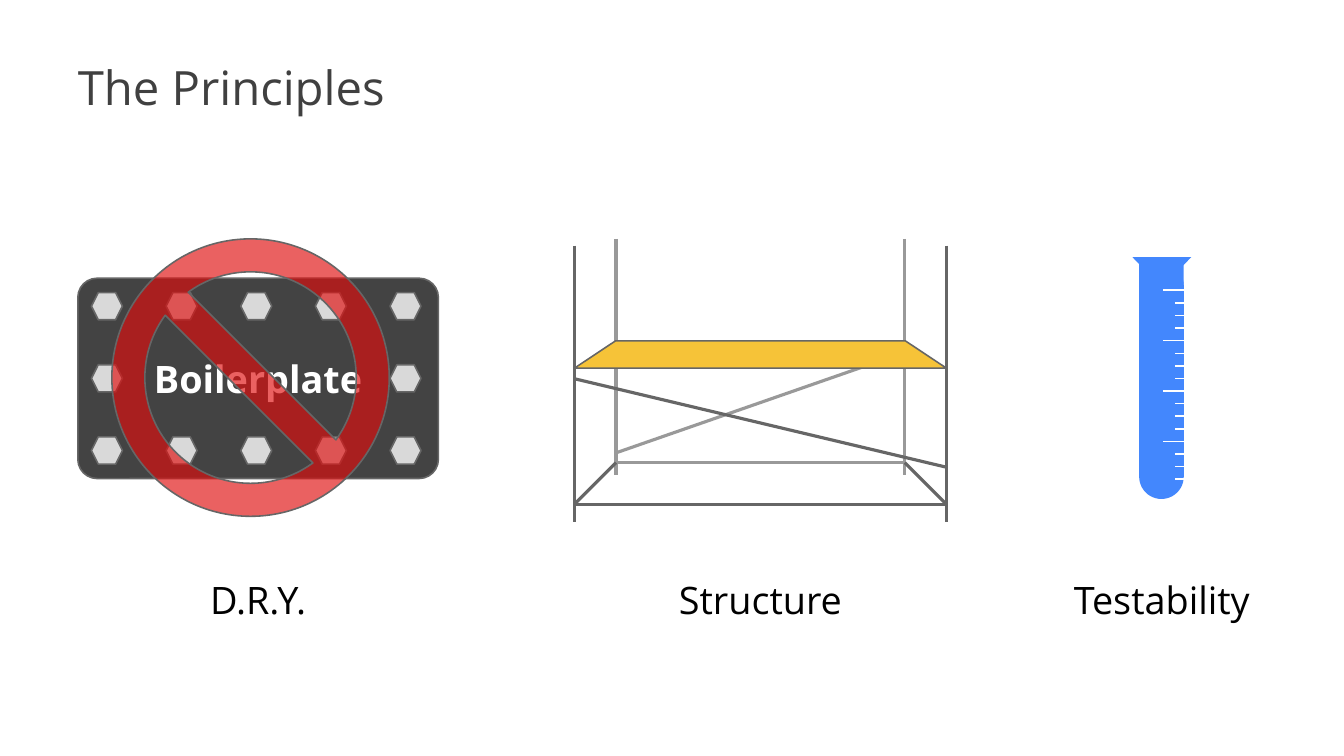
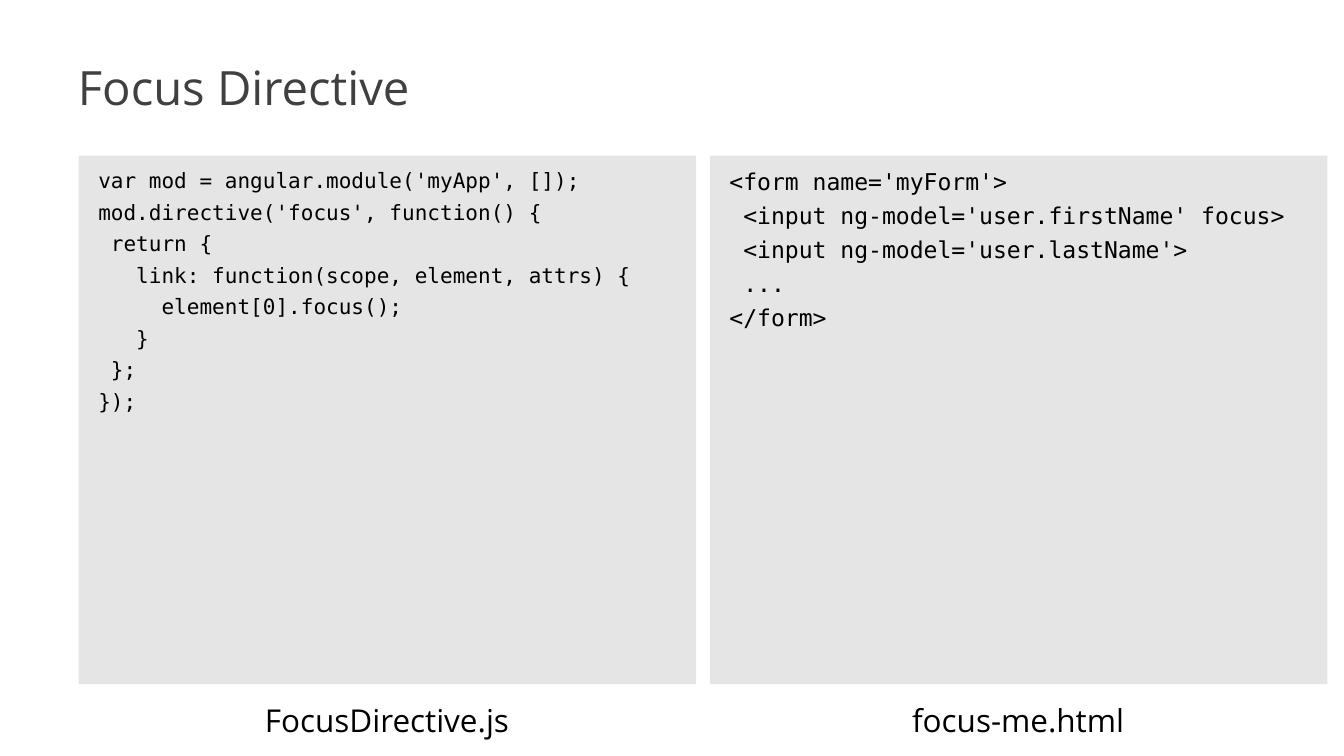
from lxml.etree import SubElement
from pptx import Presentation
from pptx.dml.color import RGBColor
from pptx.enum.shapes import MSO_CONNECTOR, MSO_SHAPE as SHAPE
from pptx.enum.text import MSO_ANCHOR as ANCHOR, MSO_AUTO_SIZE, PP_ALIGN as ALIGN
from pptx.oxml.ns import qn
from pptx.util import Inches, Pt

# Content
PRINCIPLES_TITLE = "The Principles"
PLATE_TEXT = "Boilerplate"
PRINCIPLES = [  # label, left, width
    ("D.R.Y.", 1.03, 4.77),
    ("Structure", 7.6, 4.92),
    ("Testability", 13.94, 2.86),
]
DIRECTIVE_TITLE = "Focus Directive"
LISTINGS = [  # file name, code size, code lines
    ("FocusDirective.js", 20, [
        "var mod = angular.module('myApp', []);",
        "mod.directive('focus', function() {",
        " return {",
        "   link: function(scope, element, attrs) {",
        "     element[0].focus();",
        "   }",
        " };",
        "});",
    ]),
    ("focus-me.html", 22, [
        "<form name='myForm'>",
        " <input ng-model='user.firstName' focus>",
        " <input ng-model='user.lastName'>",
        " ...",
        "</form>",
    ]),
]

# Shared style
COLORS = {
    "title": "404040", "text": "000000", "white": "FFFFFF",
    "plate": "434343", "bolt": "D9D9D9", "ban": "E00D0D",
    "front": "666666", "back": "999999", "deck": "F6C338",
    "tube": "4387FD", "panel": "000000",
}
SANS, MONO = "Open Sans", "DejaVu Sans Mono"
TITLE_ONLY, TWO_CONTENT = 5, 3


def color(name):
    return RGBColor.from_string(COLORS[name])


def place(shape, left, top, width, height):
    shape.left, shape.top = Inches(left), Inches(top)
    shape.width, shape.height = Inches(width), Inches(height)


def write(shape, text, size=36, font=SANS, ink="text", bold=False,
          align=ALIGN.CENTER, anchor=ANCHOR.MIDDLE, inset=0.1,
          spacing=None, before=0, hanging=None):
    """Fill a shape with one paragraph for each line of text."""
    frame = shape.text_frame
    frame.word_wrap = True
    frame.auto_size = MSO_AUTO_SIZE.NONE
    frame.vertical_anchor = anchor
    frame.margin_left = frame.margin_right = Inches(inset)
    frame.margin_top = frame.margin_bottom = Inches(inset)
    for number, line in enumerate(text.split("\n")):
        para = frame.add_paragraph() if number else frame.paragraphs[0]
        para.alignment = align
        para.space_before = Pt(before)
        if spacing:
            para.line_spacing = spacing
        if hanging:
            props = para._p.get_or_add_pPr()
            margin, indent = hanging
            props.set("marL", str(Inches(margin)))
            props.set("indent", str(Inches(indent)))
            SubElement(props, qn("a:buNone"))
        span = para.add_run()
        span.text = line
        span.font.name, span.font.size = font, Pt(size)
        span.font.bold = bold
        span.font.color.rgb = color(ink)


def paint(shape, fill, alpha=None):
    shape.fill.solid()
    shape.fill.fore_color.rgb = color(fill)
    if alpha is not None:
        tint = shape._element.spPr.find(qn("a:solidFill"))[0]
        SubElement(tint, qn("a:alpha")).set("val", str(alpha * 1000))


def add_figure(shapes, kind, box, fill, adjust=None, outline=True, alpha=None):
    left, top, width, height = map(Inches, box)
    shape = shapes.add_shape(kind, left, top, width, height)
    shape.shadow.inherit = False
    paint(shape, fill, alpha)
    if outline:
        shape.line.color.rgb = color("front")
        shape.line.width = Pt(1.5)
    else:
        shape.line.fill.background()
    if adjust is not None:
        shape.adjustments[0] = adjust
    return shape


def add_line(shapes, start, end, stroke, width=3):
    line = shapes.add_connector(MSO_CONNECTOR.STRAIGHT,
                                *map(Inches, (*start, *end)))
    line.line.color.rgb = color(stroke)
    line.line.width = Pt(width)
    SubElement(line._element.spPr, qn("a:effectLst"))


def add_label(shapes, text, box, size=36):
    write(shapes.add_textbox(*map(Inches, box)), text, size=size)


def add_page(deck, layout, title):
    page = deck.slides.add_slide(deck.slide_layouts[layout])
    place(page.shapes.title, 1.03, 0.18, 15.69, 1.35)
    write(page.shapes.title, title, size=45, ink="title", align=ALIGN.LEFT,
          anchor=ANCHOR.BOTTOM, inset=0, spacing=0.9)
    return page


def draw_plate(shapes):
    plate = add_figure(shapes, SHAPE.ROUNDED_RECTANGLE,
                       (1.03, 3.68, 4.77, 2.65), "plate", 0.096)
    write(plate, PLATE_TEXT, ink="white", bold=True)
    # Bolts run around the edge of a 5 by 3 grid
    for row in range(3):
        for column in range(5):
            if row != 1 or column in (0, 4):
                box = (1.21 + column * 0.9875, 3.87 + row * 0.955, 0.41, 0.36)
                add_figure(shapes, SHAPE.HEXAGON, box, "bolt", 0.25)


def draw_scaffold(shapes):
    left, right, back_left, back_right = 7.6, 12.52, 8.15, 11.97
    floor, back_floor = 6.67, 6.12
    # Back brace and posts, behind the platform
    add_line(shapes, (back_right, 4.66), (back_left, 5.99), "back")
    for x in (back_left, back_right):
        add_line(shapes, (x, 3.16), (x, 6.28), "back")
    add_figure(shapes, SHAPE.TRAPEZOID, (left, 4.51, right - left, 0.36),
               "deck", 1.506)
    # Front posts, floor frame and front brace
    for x in (left, right):
        add_line(shapes, (x, 3.25), (x, 6.9), "front")
    add_line(shapes, (right, floor), (left, floor), "front")
    add_line(shapes, (back_right, back_floor), (back_left, back_floor), "back")
    for x, back_x in ((right, back_right), (left, back_left)):
        add_line(shapes, (x, floor), (back_x, back_floor), "front")
    add_line(shapes, (right, 6.18), (left, 5.01), "front")


def draw_test_tube(shapes):
    left, width = 15.07, 0.59
    right = left + width
    add_figure(shapes, SHAPE.ROUNDED_RECTANGLE, (left, 3.48, width, 3.12),
               "tube", 0.5, outline=False)
    rim = add_figure(shapes, SHAPE.TRAPEZOID, (14.98, 3.4, 0.78, 0.14),
                     "tube", 0.957, outline=False)
    rim.rotation = 180
    add_figure(shapes, SHAPE.RECTANGLE, (left, 3.45, width, 0.35),
               "tube", outline=False)
    # Every fourth tick is long
    for tick in range(16):
        y = 3.84 + tick / 6
        length = 0.12 if tick % 4 else 0.28
        add_line(shapes, (right, y), (right - length, y), "white", 1.5)


def build_principles(deck):
    shapes = add_page(deck, TITLE_ONLY, PRINCIPLES_TITLE).shapes
    draw_plate(shapes)
    draw_scaffold(shapes)
    draw_test_tube(shapes.add_group_shape().shapes)
    for text, left, width in PRINCIPLES:
        add_label(shapes, text, (left, 7.36, width, 1.14))
    add_figure(shapes, SHAPE.NO_SYMBOL, (1.48, 3.16, 3.67, 3.67), "ban",
               0.119, alpha=65)


def build_directive(deck):
    page = add_page(deck, TWO_CONTENT, DIRECTIVE_TITLE)
    for number, (name, size, lines) in enumerate(LISTINGS):
        left = 1.04 + number * 8.35
        panel = page.placeholders[number + 1]
        place(panel, left, 2.06, 8.17, 6.99)
        paint(panel, "panel", alpha=10)
        write(panel, "\n".join(lines), size=size, font=MONO, align=ALIGN.LEFT,
              anchor=ANCHOR.TOP, inset=0.16, before=6, hanging=(0.33, -0.23))
        add_label(page.shapes, name, (left + 2.08, 9.16, 4, 0.72), size=30)


def main():
    deck = Presentation()
    deck.slide_width, deck.slide_height = Inches(17.78), Inches(10)
    build_principles(deck)
    build_directive(deck)
    deck.save("out.pptx")


if __name__ == "__main__":
    main()
